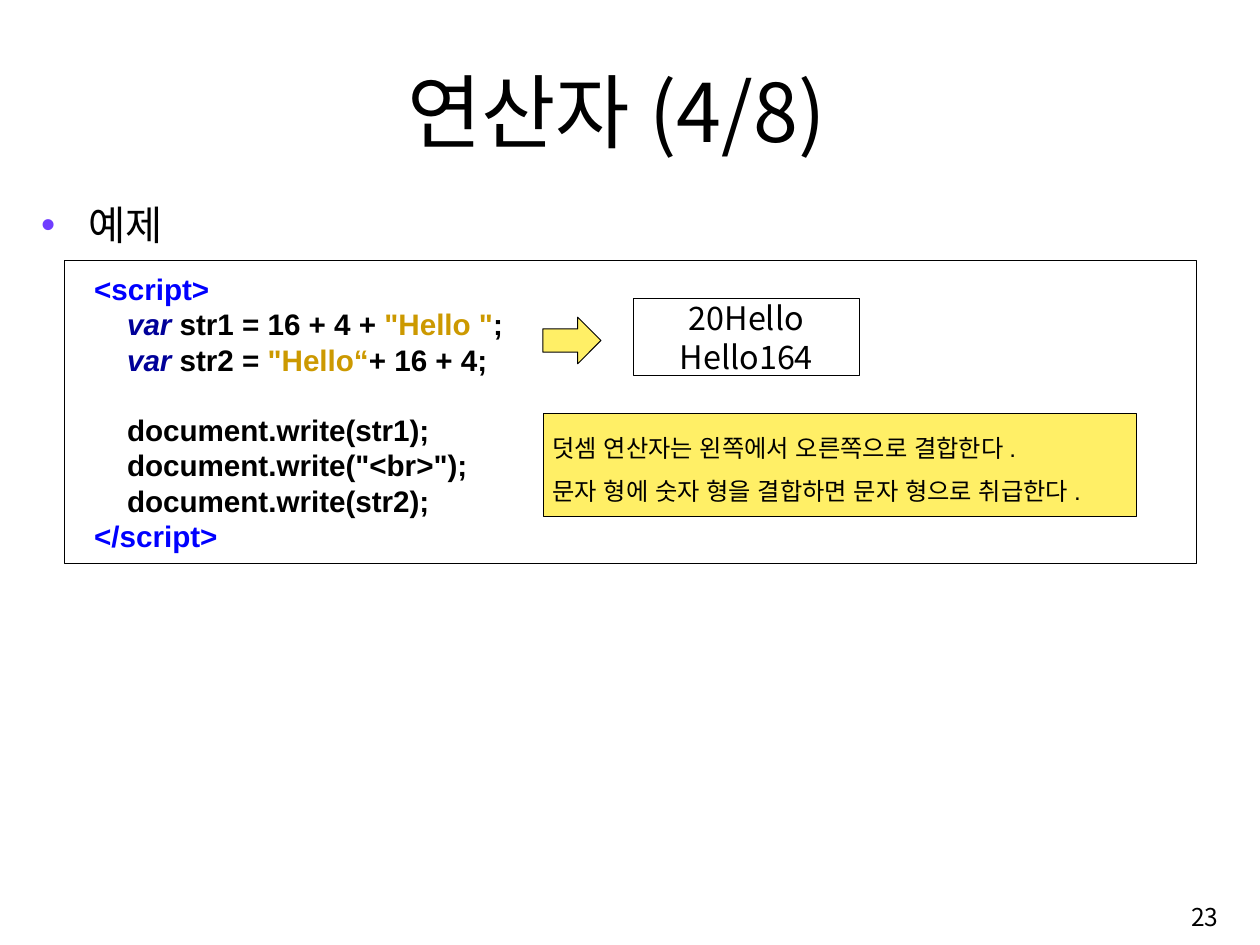
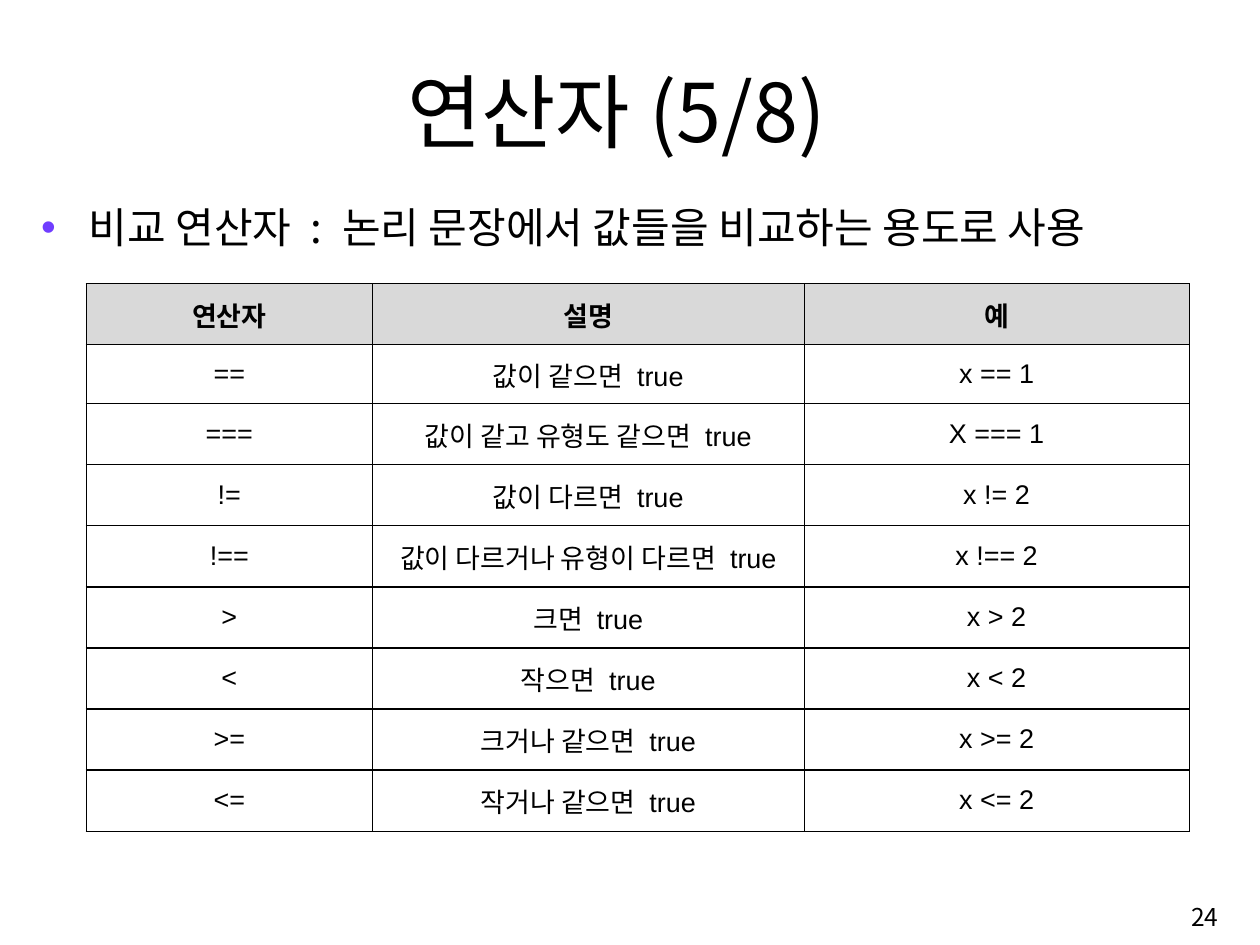
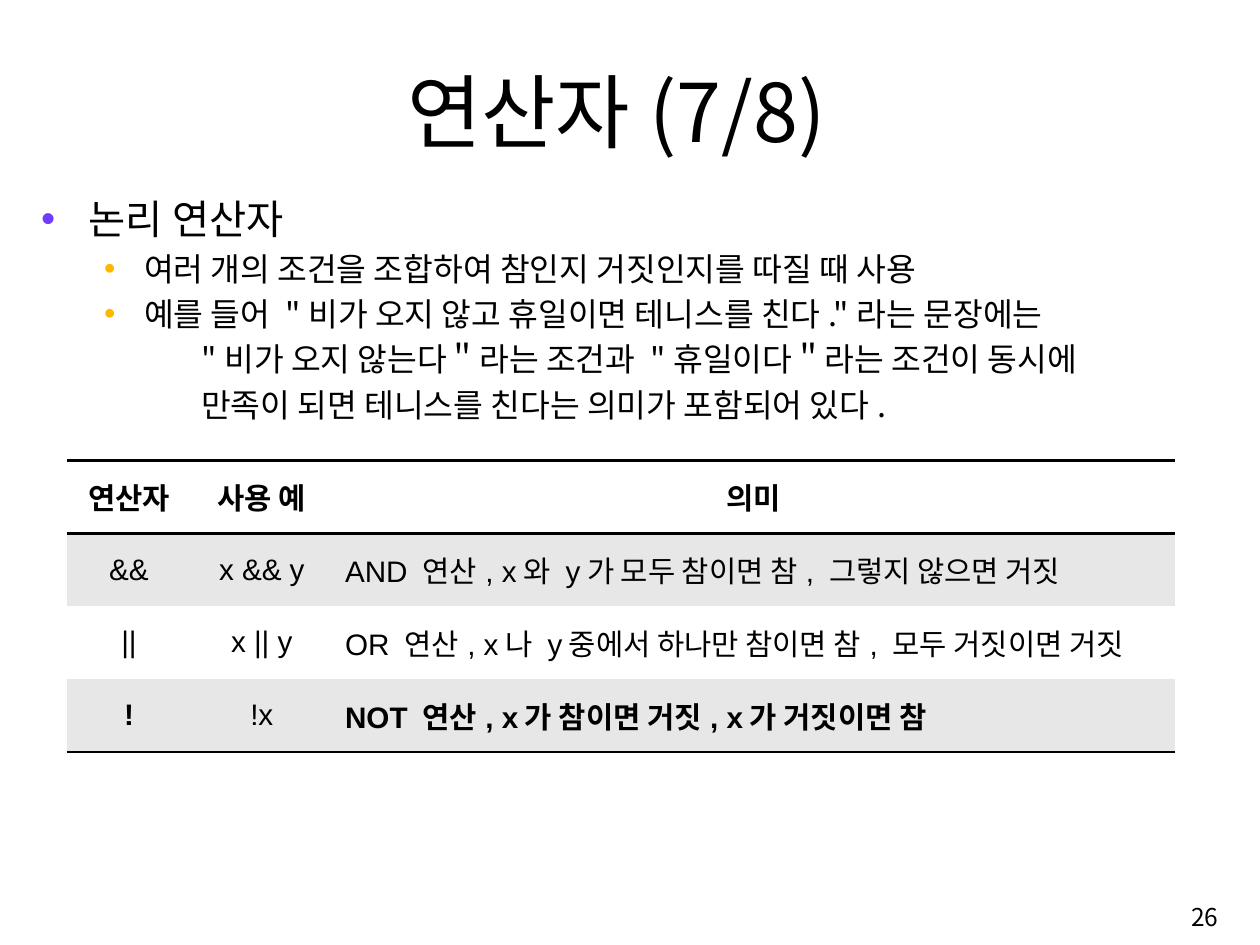
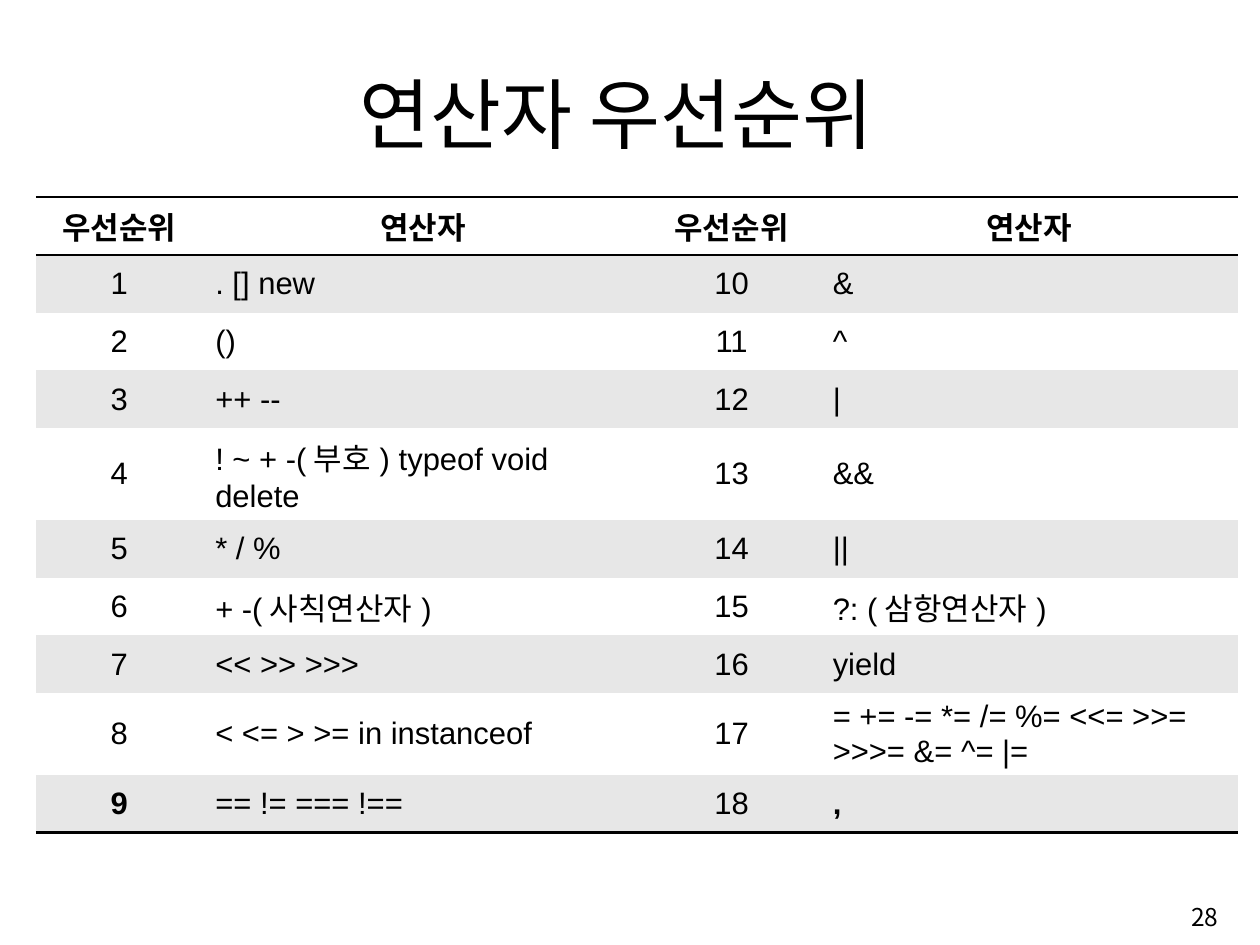
import lxml.etree
import pptx
import pptx.dml.color
import pptx.enum.shapes
import pptx.enum.text
import pptx.oxml.ns
import pptx.util

BLACK = pptx.dml.color.RGBColor(0x00, 0x00, 0x00)
WHITE = pptx.dml.color.RGBColor(0xFF, 0xFF, 0xFF)
BLUE = pptx.dml.color.RGBColor(0x00, 0x00, 0xFF)
NAVY = pptx.dml.color.RGBColor(0x00, 0x00, 0x99)
OCHRE = pptx.dml.color.RGBColor(0xCC, 0x99, 0x00)
YELLOW = pptx.dml.color.RGBColor(0xFF, 0xEF, 0x66)
HEADER_GRAY = pptx.dml.color.RGBColor(0xD9, 0xD9, 0xD9)
BAND_GRAY = pptx.dml.color.RGBColor(0xE7, 0xE7, 0xE7)
VIOLET = pptx.dml.color.RGBColor(0x70, 0x3D, 0xFF)
AMBER = pptx.dml.color.RGBColor(0xFF, 0xB8, 0x00)

SANS = "Noto Sans CJK KR"
ARIAL = "Arial"
CODE_GAP = 25.4

ALIGN = pptx.enum.text.PP_ALIGN
ANCHOR = pptx.enum.text.MSO_ANCHOR
SHAPE = pptx.enum.shapes.MSO_SHAPE


def add_node(parent, tag, **attributes):
    return lxml.etree.SubElement(parent, pptx.oxml.ns.qn(tag), **attributes)


def write(para, text, size=24, face=SANS, hangul_face=None, color=BLACK, bold=False,
          italic=False, align=ALIGN.LEFT, leading=1.0, kerned=False):
    para.alignment = align
    para.line_spacing = leading
    span = para.add_run()
    span.text = text
    font = span.font
    font.size = pptx.util.Pt(size)
    font.name = face
    font.bold = bold
    font.italic = italic
    font.color.rgb = color
    add_node(font._element, "a:ea", typeface=hangul_face or face)
    if not kerned:
        font._element.set("kern", "0")


def add_edge(properties, side, drawn, width):
    edge = add_node(properties, "a:ln" + side, w=str(pptx.util.Pt(width)))
    if drawn:
        add_node(add_node(edge, "a:solidFill"), "a:srgbClr", val=str(BLACK))
    else:
        add_node(edge, "a:noFill")


class Deck:
    COLUMNS = 100
    ROWS = 100

    def __init__(self):
        self.deck = pptx.Presentation()
        self.deck.slide_width = pptx.util.Inches(12.99)
        self.deck.slide_height = pptx.util.Inches(9.74)
        self.page = None

    def across(self, columns):
        return round(self.deck.slide_width * columns / self.COLUMNS)

    def down(self, rows):
        return round(self.deck.slide_height * rows / self.ROWS)

    def area(self, left, top, width, height):
        return self.across(left), self.down(top), self.across(width), self.down(height)

    def place(self, box, *cells):
        box.left, box.top, box.width, box.height = self.area(*cells)

    def prepare(self, box, anchor):
        frame = box.text_frame
        frame.word_wrap = True
        frame.auto_size = pptx.enum.text.MSO_AUTO_SIZE.NONE
        frame.vertical_anchor = anchor
        return frame

    def paragraphs(self, frame, items):
        for index, item in enumerate(items):
            yield (frame.add_paragraph() if index else frame.paragraphs[0]), item

    def indent(self, para, margin, hanging=0):
        properties = para._p.get_or_add_pPr()
        properties.set("marL", str(self.across(margin)))
        properties.set("indent", str(-self.across(hanging)))
        return properties

    def add_page(self, title, number, title_size=60, with_list=True):
        layout = self.deck.slide_layouts[1 if with_list else 5]
        self.page = self.deck.slides.add_slide(layout)
        box = self.page.shapes.title
        self.place(box, 8.08, 6.26, 81.68, 11.09)
        frame = self.prepare(box, ANCHOR.BOTTOM)
        write(frame.paragraphs[0], title, size=title_size, align=ALIGN.CENTER)
        footer = self.page.shapes.add_textbox(*self.area(76.83, 93.94, 20.63, 6.16))
        frame = self.prepare(footer, ANCHOR.MIDDLE)
        write(frame.paragraphs[0], str(number), size=18.2, align=ALIGN.RIGHT)

    def add_list(self, top, items, size=30):
        styles = {
            "main": (0, size, 3.77, 3.77, VIOLET),
            "sub": (1, 24, 8.16, 3.16, AMBER),
            "continued": (1, 24, 12.7, 0, None),
        }
        box = self.page.placeholders[1]
        self.place(box, 2.5, top, 94.84, 72.48)
        frame = self.prepare(box, ANCHOR.TOP)
        for para, (style, text) in self.paragraphs(frame, items):
            level, points, margin, hanging, color = styles[style]
            para.level = level
            write(para, text, size=points)
            para.space_before = pptx.util.Pt(points * 0.2)
            properties = self.indent(para, margin, hanging)
            if color is None:
                add_node(properties, "a:buNone")
            else:
                add_node(add_node(properties, "a:buClr"), "a:srgbClr", val=str(color))
                add_node(properties, "a:buFont", typeface=ARIAL)
                add_node(properties, "a:buChar", char="•")

    def add_box(self, cells, kind=SHAPE.RECTANGLE, fill=None, anchor=ANCHOR.MIDDLE):
        box = self.page.shapes.add_shape(kind, *self.area(*cells))
        box.shadow.inherit = False
        if fill is None:
            box.fill.background()
        else:
            box.fill.solid()
            box.fill.fore_color.rgb = fill
        box.line.color.rgb = BLACK
        box.line.width = pptx.util.Pt(0.75)
        return self.prepare(box, anchor)

    def add_text_box(self, cells, lines, fill=None, anchor=ANCHOR.MIDDLE, **style):
        frame = self.add_box(cells, fill=fill, anchor=anchor)
        for para, text in self.paragraphs(frame, lines):
            write(para, text, **style)

    def add_code(self, cells, lines):
        frame = self.add_box(cells, fill=WHITE)
        frame.margin_left = frame.margin_right = self.across(1)
        for para, (margin, gap, spans) in self.paragraphs(frame, lines):
            for text, color in spans:
                write(para, text, size=22, face=ARIAL, color=color, bold=True,
                      italic=color == NAVY)
            para.space_before = pptx.util.Pt(gap)
            self.indent(para, margin)

    def add_table(self, left, top, widths, heights, rows, size, centered, gridded=False):
        cells = self.area(left, top, sum(widths), sum(heights))
        table = self.page.shapes.add_table(len(rows), len(widths), *cells).table
        table.first_row = table.horz_banding = False
        for column, width in zip(table.columns, widths):
            column.width = self.across(width)
        for row, height in zip(table.rows, heights):
            row.height = self.down(height)
        last_row, last_column = len(rows) - 1, len(widths) - 1
        ruled = range(len(rows) + 1) if gridded else (0, 1, len(rows))
        for r, texts in enumerate(rows):
            for c, text in enumerate(texts):
                cell = table.cell(r, c)
                properties = cell._tc.get_or_add_tcPr()
                weight = 1 if gridded else 2
                for side, drawn in (("L", gridded), ("R", gridded),
                                    ("T", r in ruled), ("B", r + 1 in ruled)):
                    add_edge(properties, side, drawn, weight)
                if gridded and r:
                    cell.fill.background()
                else:
                    cell.fill.solid()
                    band = BAND_GRAY if r % 2 else WHITE
                    cell.fill.fore_color.rgb = HEADER_GRAY if gridded else band
                cell.margin_left = cell.margin_right = self.across(1)
                cell.margin_top = cell.margin_bottom = self.down(0.62)
                cell.vertical_anchor = ANCHOR.MIDDLE
                closing = not gridded and r == last_row and c in (0, last_column)
                middle = r == 0 or c in centered
                write(cell.text_frame.paragraphs[0], text, size=size, face=ARIAL,
                      hangul_face=SANS, bold=r == 0 or closing, kerned=gridded,
                      align=ALIGN.CENTER if middle else ALIGN.LEFT)


lecture = Deck()

lecture.add_page("연산자(4/8)", 23)
lecture.add_list(20.64, [("main", "예제")])
OUTER, INNER = 1.36, 3.97
lecture.add_code((5.12, 27.62, 89.84, 32.03), [
    (OUTER, 0, [("<script>", BLUE)]),
    (INNER, 0, [("var ", NAVY), ("str1 = 16 + 4 + ", BLACK), ('"Hello "', OCHRE), (";", BLACK)]),
    (INNER, 0, [("var", NAVY), (" str2 = ", BLACK), ('"Hello“', OCHRE), ("+ 16 + 4;", BLACK)]),
    (INNER, CODE_GAP, [("document.write(str1);", BLACK)]),
    (INNER, 0, [('document.write("<br>");', BLACK)]),
    (INNER, 0, [("document.write(str2);", BLACK)]),
    (OUTER, 0, [("</script>", BLUE)]),
])
lecture.add_text_box((43.11, 43.78, 47.11, 10.88), [
    "덧셈 연산자는 왼쪽에서 오른쪽으로 결합한다.",
    "문자 형에 숫자 형을 결합하면 문자 형으로 취급한다.",
], fill=YELLOW, anchor=ANCHOR.TOP, size=18, face=ARIAL, leading=1.5, kerned=True)
lecture.add_box((43.08, 33.57, 4.62, 4.93), kind=SHAPE.RIGHT_ARROW, fill=YELLOW)
lecture.add_text_box((50.27, 31.6, 17.92, 8.18), ["20Hello", "Hello164"], align=ALIGN.CENTER)

lecture.add_page("연산자(5/8)", 24)
lecture.add_list(20.84, [("main", "비교 연산자 : 논리 문장에서 값들을 비교하는 용도로 사용")], size=31.2)
lecture.add_table(6.85, 30.03, [22.71, 34.26, 30.56], [6.47, 6.24] + [6.46] * 7, [
    ("연산자", "설명", "예"),
    ("==", "값이 같으면 true", "x == 1"),
    ("===", "값이 같고 유형도 같으면 true", "X === 1"),
    ("!=", "값이 다르면 true", "x != 2"),
    ("!==", "값이 다르거나 유형이 다르면 true", "x !== 2"),
    (">", "크면 true", "x > 2"),
    ("<", "작으면 true", "x < 2"),
    (">=", "크거나 같으면 true", "x >= 2"),
    ("<=", "작거나 같으면 true", "x <= 2"),
], size=20, centered=(0, 1, 2), gridded=True)

lecture.add_page("연산자(7/8)", 26)
lecture.add_list(20.02, [
    ("main", "논리 연산자"),
    ("sub", "여러 개의 조건을 조합하여 참인지 거짓인지를 따질 때 사용"),
    ("sub", '예를 들어 "비가 오지 않고 휴일이면 테니스를 친다."라는 문장에는'),
    ("continued", '"비가 오지 않는다＂라는 조건과 "휴일이다＂라는 조건이 동시에'),
    ("continued", "만족이 되면 테니스를 친다는 의미가 포함되어 있다."),
])
lecture.add_table(5.31, 48.74, [9.85, 11.24, 66.9], [7.71] * 4, [
    ("연산자", "사용 예", "의미"),
    ("&&", "x && y", "AND 연산, x와 y가 모두 참이면 참, 그렇지 않으면 거짓"),
    ("||", "x || y", "OR 연산, x나 y중에서 하나만 참이면 참, 모두 거짓이면 거짓"),
    ("!", "!x", "NOT 연산, x가 참이면 거짓, x가 거짓이면 참"),
], size=22, centered=(0, 1))

lecture.add_page("연산자 우선순위", 28, title_size=57.2, with_list=False)
first_half = [". [] new", "()", "++ --", "! ~ + -(부호) typeof void delete", "* / %",
              "+ -(사칙연산자)", "<< >> >>>", "< <= > >= in instanceof", "== != === !=="]
second_half = ["&", "^", "|", "&&", "||", "?: (삼항연산자)", "yield",
               "= += -= *= /= %= <<= >>= >>>= &= ^= |=", ","]
ranking = [(str(rank), first, str(rank + len(first_half)), second)
           for rank, (first, second) in enumerate(zip(first_half, second_half), 1)]
lecture.add_table(2.85, 20.84, [13.24, 34.95, 14.06, 33.18],
                  [8.32 if row in (4, 8) else 6.12 for row in range(10)],
                  [("우선순위", "연산자") * 2] + ranking, size=23, centered=(0, 2))

lecture.deck.save("out.pptx")
